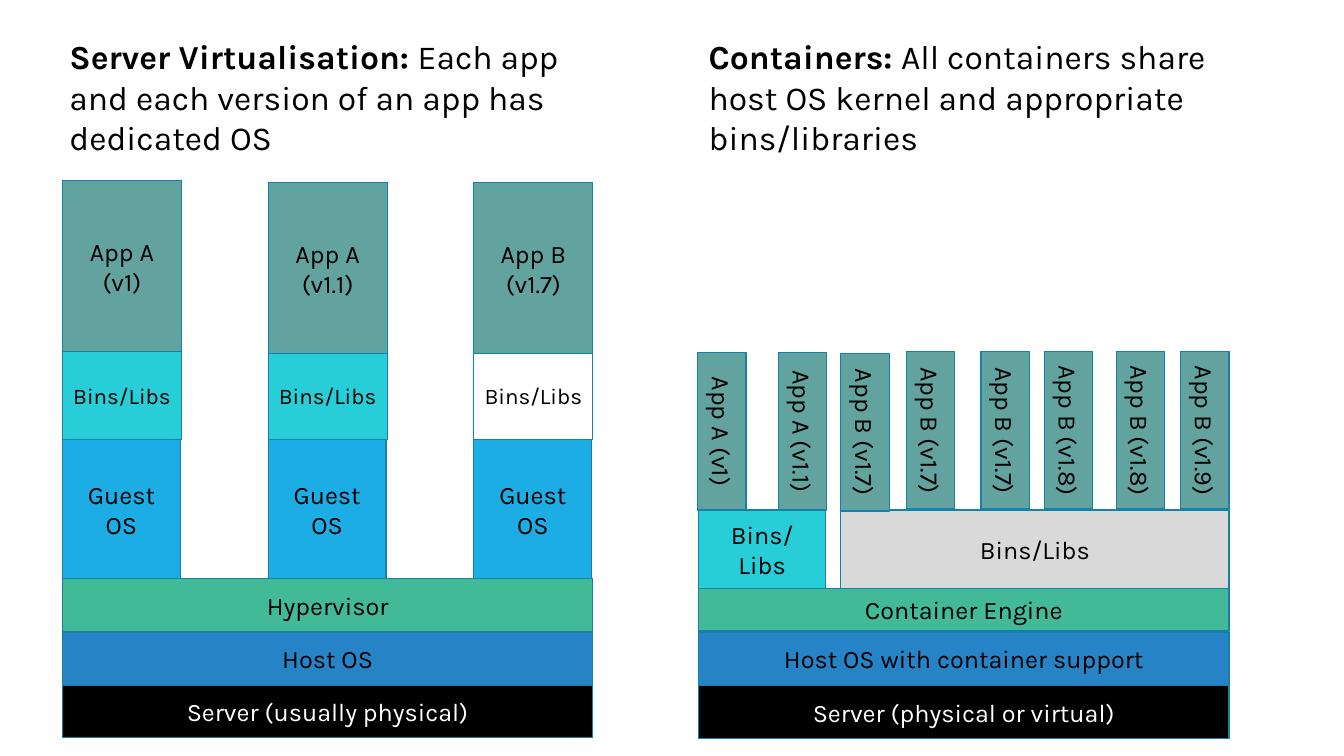
"""Build a slide comparing server virtualisation with containers."""
from pptx import Presentation
from pptx.dml.color import RGBColor
from pptx.enum.text import MSO_ANCHOR, MSO_AUTO_SIZE, PP_ALIGN
from pptx.enum.shapes import MSO_SHAPE
from pptx.util import Inches, Pt

RECT = MSO_SHAPE.RECTANGLE
CENTER = PP_ALIGN.CENTER
MIDDLE = MSO_ANCHOR.MIDDLE
GROW = MSO_AUTO_SIZE.SHAPE_TO_FIT_TEXT

BLACK, WHITE, GREY = "000000", "FFFFFF", "D9D9D9"
HOST, GUEST, ENGINE = "2683C6", "1CADE4", "42BA97"
LIBS, APP, OUTLINE = "27CED7", "62A39F", "1580A9"


def rgb(value):
    return RGBColor.from_string(value)


class Deck:
    font = "Karla"

    def __init__(self):
        self.prs = Presentation()
        self.prs.slide_width = Inches(13.33)
        self.prs.slide_height = Inches(7.5)
        self.s = self.prs.slides.add_slide(self.prs.slide_layouts[6])

    def style(self, r, size, color=BLACK, bold=False):
        r.font.name = self.font
        r.font.size = Pt(size)
        r.font.bold = bold
        r.font.color.rgb = rgb(color)

    def block(self, x, y, w, h, text, fill, size=18, color=BLACK, vertical=False):
        sp = self.s.shapes.add_shape(RECT, Inches(x), Inches(y), Inches(w), Inches(h))
        sp.shadow.inherit = False
        sp.fill.solid()
        sp.fill.fore_color.rgb = rgb(fill)
        sp.line.color.rgb = rgb(OUTLINE)
        sp.line.width = Pt(0.85)
        tf = sp.text_frame
        tf.word_wrap = True
        tf.vertical_anchor = MIDDLE
        if vertical:
            tf._txBody.bodyPr.set("vert", "vert")
        p = tf.paragraphs[0]
        p.text = text
        p.alignment = CENTER
        for r in p.runs:
            self.style(r, size, color)

    def heading(self, x, w, title, text):
        sp = self.s.shapes.add_textbox(Inches(x), Inches(0.31), Inches(w), Inches(1.31))
        tf = sp.text_frame
        tf.word_wrap = True
        tf.auto_size = GROW
        p = tf.paragraphs[0]
        for part, bold in ((title, True), (text, False)):
            r = p.add_run()
            r.text = part
            self.style(r, 24, bold=bold)


def draw_virtualisation(deck):
    left, width = 0.62, 5.26
    deck.heading(0.59, width, "Server Virtualisation: ",
                 "Each app and each version of an app has dedicated OS")
    deck.block(left, 6.79, width, 0.53, "Server (usually physical)", BLACK, color=WHITE)
    deck.block(left, 6.27, width, 0.53, "Host OS", HOST)
    deck.block(left, 5.74, width, 0.53, "Hypervisor", ENGINE)
    machines = [("App A\n(v1)", LIBS, 1.79), ("App A\n(v1.1)", LIBS, 1.81),
                ("App B\n(v1.7)", WHITE, 1.81)]
    for i, (app, libs_fill, top) in enumerate(machines):
        x = left + 2.04 * i
        deck.block(x, 4.36, 1.17, 1.38, "Guest OS", GUEST)
        deck.block(x, 3.49, 1.18, 0.87, "Bins/Libs", libs_fill, size=16)
        deck.block(x, top, 1.18, 1.7, app, APP)


def draw_containers(deck):
    left, width = 6.93, 5.26
    deck.heading(left, 5.58, "Containers: ",
                 "All containers share host OS kernel and appropriate bins/libraries")
    deck.block(left, 6.8, width, 0.53, "Server (physical or virtual)", BLACK, color=WHITE)
    deck.block(left, 6.27, width, 0.53, "Host OS with container support", HOST)
    deck.block(left, 5.06, 1.26, 0.78, "Bins/Libs", LIBS)
    deck.block(8.34, 5.06, 3.85, 0.78, "Bins/Libs", GREY)
    containers = [(6.92, 3.5, "A (v1)"), (7.72, 3.5, "A (v1.1)"),
                  (8.34, 3.51, "B (v1.7)"), (8.99, 3.49, "B (v1.7)"),
                  (9.73, 3.49, "B (v1.7)"), (10.36, 3.49, "B (v1.8)"),
                  (11.07, 3.49, "B (v1.8)"), (11.71, 3.49, "B (v1.9)")]
    for x, y, version in containers:
        deck.block(x, y, 0.48, 1.56, f"App {version}", APP, vertical=True)
    deck.block(left, 5.84, width, 0.42, "Container Engine", ENGINE)


def main():
    deck = Deck()
    draw_virtualisation(deck)
    draw_containers(deck)
    deck.prs.save("out.pptx")


if __name__ == "__main__":
    main()
